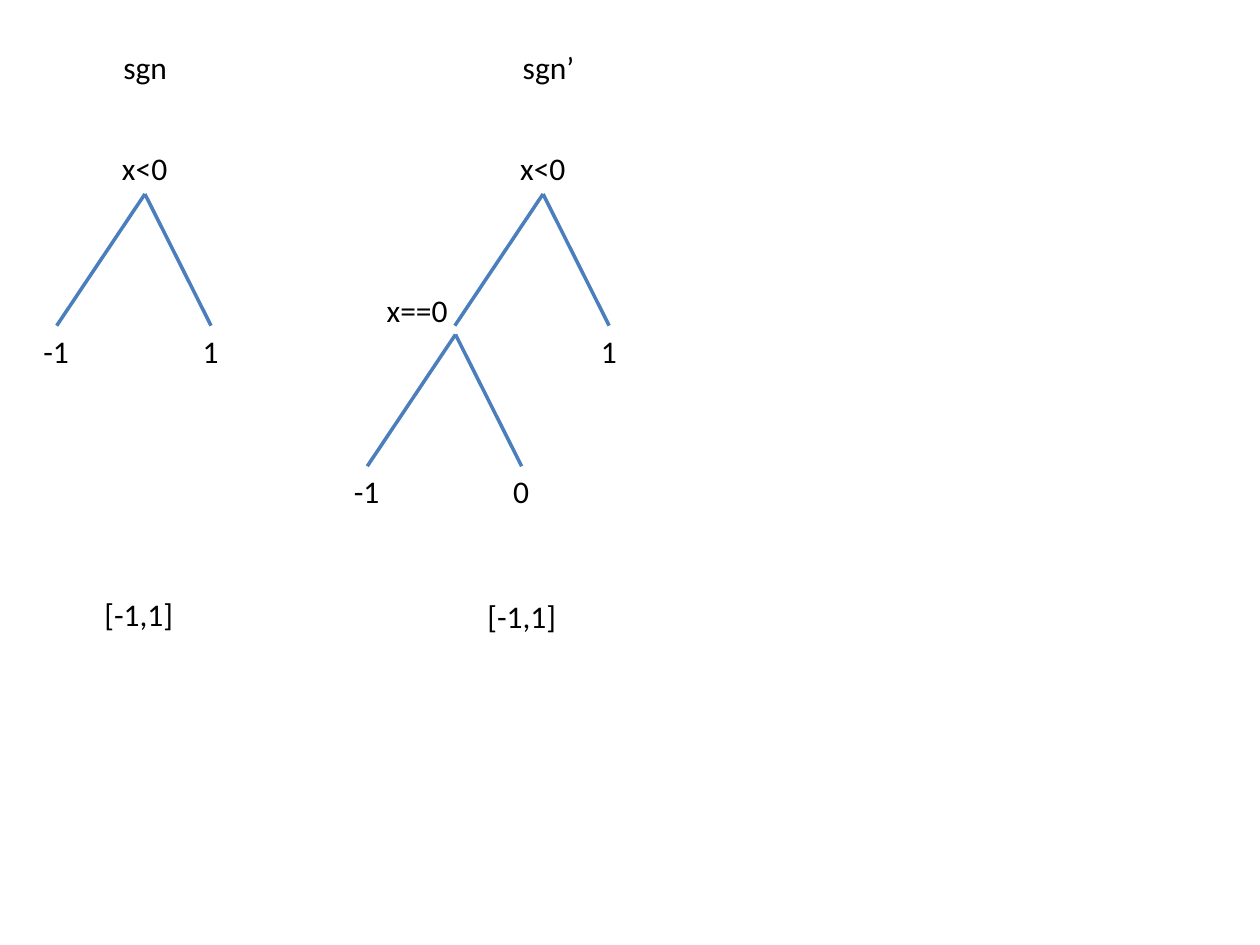
from lxml.etree import SubElement
from pptx import Presentation
from pptx.dml.color import RGBColor
from pptx.enum.shapes import MSO_CONNECTOR
from pptx.enum.text import MSO_AUTO_SIZE
from pptx.oxml.ns import qn
from pptx.util import Inches, Pt

BLACK = RGBColor(0x00, 0x00, 0x00)
BRANCH_BLUE = RGBColor(0x4B, 0x7E, 0xBC)
CELL = Inches(0.1)
LABEL_HEIGHT = 4
LEFT_REACH, RIGHT_REACH, DROP = 7, 5.25, 10.45
WIDTHS = {"sgn": 5.5, "sgn’": 6.2, "x<0": 5.6, "x==0": 7.1,
          "-1": 4.1, "0": 3.3, "1": 3.3, "[-1,1]": 7.5}


def cells(count):
    return round(count * CELL)


def write(frame, text, size=18, font="Calibri", color=BLACK):
    run = frame.paragraphs[0].add_run()
    run.text = text
    run.font.size = Pt(size)
    run.font.name = font
    run.font.color.rgb = color


class TreeSlide:
    """Draws decision trees on a grid of 100 columns and 75 rows."""

    def __init__(self, slide, branch_width=2):
        self.slide = slide
        self.branch_width = Pt(branch_width)

    def label(self, text, center, top):
        width = WIDTHS[text]
        box = self.slide.shapes.add_textbox(
            cells(center - width / 2), cells(top), cells(width), cells(LABEL_HEIGHT))
        box.text_frame.word_wrap = False
        box.text_frame.auto_size = MSO_AUTO_SIZE.SHAPE_TO_FIT_TEXT
        write(box.text_frame, text)

    def branch(self, start, end):
        line = self.slide.shapes.add_connector(
            MSO_CONNECTOR.STRAIGHT, *map(cells, start + end))
        line.line.color.rgb = BRANCH_BLUE
        line.line.width = self.branch_width
        SubElement(line._element.spPr, qn("a:effectLst"))

    def fork(self, column, row, *leaves):
        for leaf, reach in zip(leaves, (-LEFT_REACH, RIGHT_REACH)):
            tip = (column + reach, row + DROP)
            self.branch((column, row), tip)
            if leaf:
                self.label(leaf, *tip)


presentation = Presentation()
presentation.slide_width, presentation.slide_height = Inches(10), Inches(7.5)
tree = TreeSlide(presentation.slides.add_slide(presentation.slide_layouts[6]))

for name, name_center, root, left_leaf, interval_center, interval_top in (
        ("sgn", 11.55, 11.5, "-1", 11.05, 46.7),
        ("sgn’", 43.6, 43.1, None, 41.45, 46.9)):
    tree.label(name, name_center, 3.3)
    tree.label("x<0", root, 11.3)
    tree.fork(root, 15.4, left_leaf, "1")
    tree.label("[-1,1]", interval_center, interval_top)

tree.label("x==0", 33.25, 22.6)
tree.fork(36.15, 26.55, "-1", "0")

presentation.save("out.pptx")
